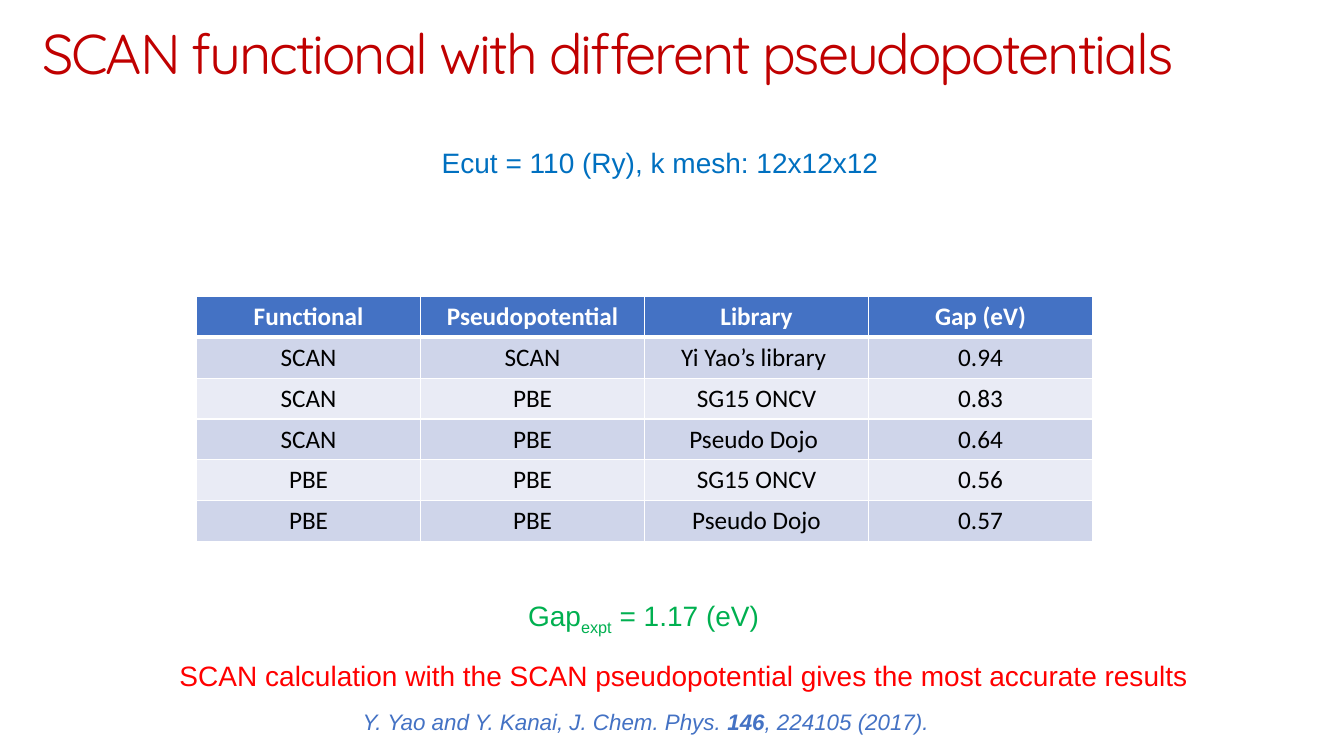
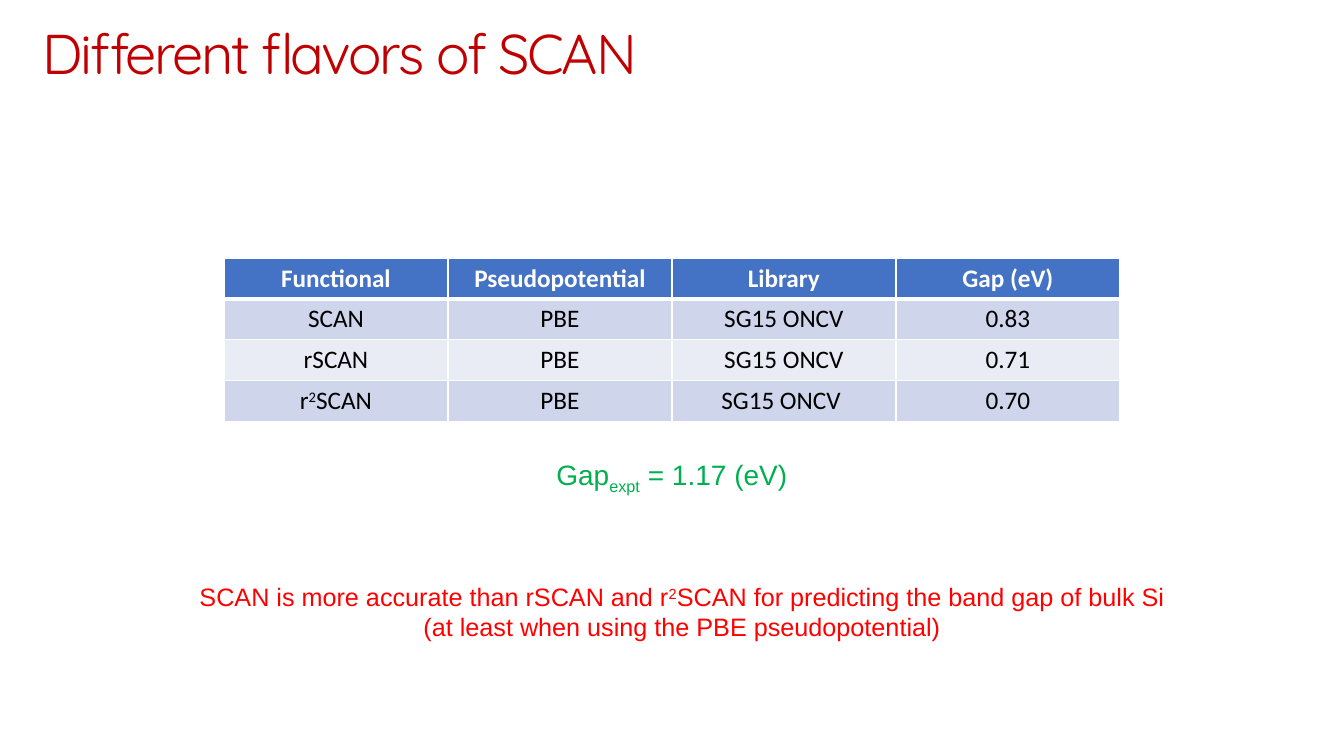
"""Build two slides that compare band gaps from SCAN functionals."""
from pptx import Presentation
from pptx.dml.color import RGBColor
from pptx.enum.text import MSO_ANCHOR, MSO_AUTO_SIZE, PP_ALIGN
from pptx.oxml import parse_xml
from pptx.oxml.ns import nsdecls
from pptx.util import Pt

COLORS = {
    "title": "C00000", "setup": "0070C0", "gap": "00B050", "claim": "FF0000",
    "blue": "4472C4", "white": "FFFFFF", "black": "000000",
    "odd": "CFD5EA", "even": "E9EBF5",
}
SUB, SUP, BOLD = {"baseline": "-25000"}, {"baseline": "30000"}, {"b": "1"}
HEADS = ["Functional", "Pseudopotential", "Library", "Gap (eV)"]
GAP = [[("Gap", {}), ("expt", SUB), (" = 1.17 (eV)", {})]]
COL, ROW = 160, 29.2

SLIDES = [
    {
        "title": "SCAN functional with different pseudopotentials",
        "table": (140.4, 211.7),
        "rows": [
            ["SCAN", "SCAN", "Yi Yao’s library ", "0.94"],
            ["SCAN", "PBE", "SG15 ONCV", "0.83"],
            ["SCAN", "PBE", "Pseudo Dojo ", "0.64"],
            ["PBE", "PBE", "SG15 ONCV", "0.56"],
            ["PBE", "PBE", "Pseudo Dojo", "0.57"],
        ],
        "notes": [
            ((307.4, 100.1, 328.3, 31.5), 20, "setup", False,
             ["Ecut = 110 (Ry), k mesh: 12x12x12"]),
            ((367.9, 424.1, 183.6, 31.5), 20, "gap", False, GAP),
            ((118.1, 466.6, 740.9, 31.5), 20, "claim", False,
             ["SCAN calculation with the SCAN pseudopotential gives the most accurate results"]),
            ((249.1, 502.6, 424.1, 26.6), 16, "blue", True,
             [[("Y. Yao and Y. Kanai, J. Chem. Phys. ", {}), ("146", BOLD),
               (", 224105 (2017).", {})]]),
        ],
    },
    {
        "title": "Different flavors of SCAN",
        "table": (160, 184.3),
        "rows": [
            ["SCAN", "PBE", "SG15 ONCV", "0.83"],
            ["rSCAN", "PBE", "SG15 ONCV", "0.71"],
            [[("r", {}), ("2", SUP), ("SCAN", {})], "PBE", "SG15 ONCV ", "0.70"],
        ],
        "notes": [
            ((388.1, 323.3, 183.6, 31.5), 20, "gap", False, GAP),
            ((131.8, 411.8, 710.6, 51.1), 18, "claim", False,
             [[("SCAN is more accurate than rSCAN and r", {}), ("2", SUP),
               ("SCAN for predicting the band gap of bulk Si", {})],
              "(at least when using the PBE pseudopotential)"]),
        ],
    },
]


def write(para, text, face, size, color, bold=False, italic=False, align=PP_ALIGN.CENTER):
    para.alignment = align
    parts = [(text, {})] if isinstance(text, str) else text
    for words, marks in parts:
        run = para.add_run()
        run.text = words
        run.font.name = face
        run.font.size = Pt(size)
        run.font.bold = bold
        run.font.italic = italic
        run.font.color.rgb = RGBColor.from_string(COLORS[color])
        for key, value in marks.items():
            run._r.get_or_add_rPr().set(key, value)


def edge(cell, top, bottom):
    for side, width in (("L", 1), ("R", 1), ("T", top), ("B", bottom)):
        cell._tc.get_or_add_tcPr().append(parse_xml(
            f'<a:ln{side} {nsdecls("a")} w="{Pt(width)}"><a:solidFill>'
            f'<a:srgbClr val="{COLORS["white"]}"/></a:solidFill></a:ln{side}>'))


deck = Presentation()
deck.slide_width, deck.slide_height = Pt(960), Pt(540)

for page in SLIDES:
    slide = deck.slides.add_slide(deck.slide_layouts[5])

    title = slide.shapes.title
    title.left, title.top, title.width, title.height = Pt(30.2), Pt(0.7), Pt(926.6), Pt(79.2)
    frame = title.text_frame
    frame.auto_size = MSO_AUTO_SIZE.NONE
    frame.vertical_anchor = MSO_ANCHOR.MIDDLE
    frame.margin_left = frame.margin_top = frame.margin_bottom = 0
    frame.margin_right = Pt(1.4)
    head = [(page["title"], {"spc": "-150"})]
    write(frame.paragraphs[0], head, "Quicksand", 40, "title", align=PP_ALIGN.LEFT)
    frame.paragraphs[0].line_spacing = 0.9

    grid = [HEADS] + page["rows"]
    left, top = page["table"]
    table = slide.shapes.add_table(
        len(grid), len(HEADS), Pt(left), Pt(top),
        Pt(COL * len(HEADS)), Pt(ROW * len(grid))).table
    for column in table.columns:
        column.width = Pt(COL)
    for r, line in enumerate(grid):
        table.rows[r].height = Pt(ROW)
        fill = "blue" if r == 0 else "odd" if r % 2 else "even"
        for c, text in enumerate(line):
            cell = table.cell(r, c)
            edge(cell, 3 if r == 1 else 1, 3 if r == 0 else 1)
            cell.fill.solid()
            cell.fill.fore_color.rgb = RGBColor.from_string(COLORS[fill])
            write(cell.text_frame.paragraphs[0], text, "Calibri", 18,
                  "black" if r else "white", bold=r == 0)

    for box, size, color, italic, lines in page["notes"]:
        frame = slide.shapes.add_textbox(*map(Pt, box)).text_frame
        frame.word_wrap = False
        frame.auto_size = MSO_AUTO_SIZE.SHAPE_TO_FIT_TEXT
        for i, text in enumerate(lines):
            para = frame.add_paragraph() if i else frame.paragraphs[0]
            write(para, text, "Arial", size, color, italic=italic)

deck.save("out.pptx")
